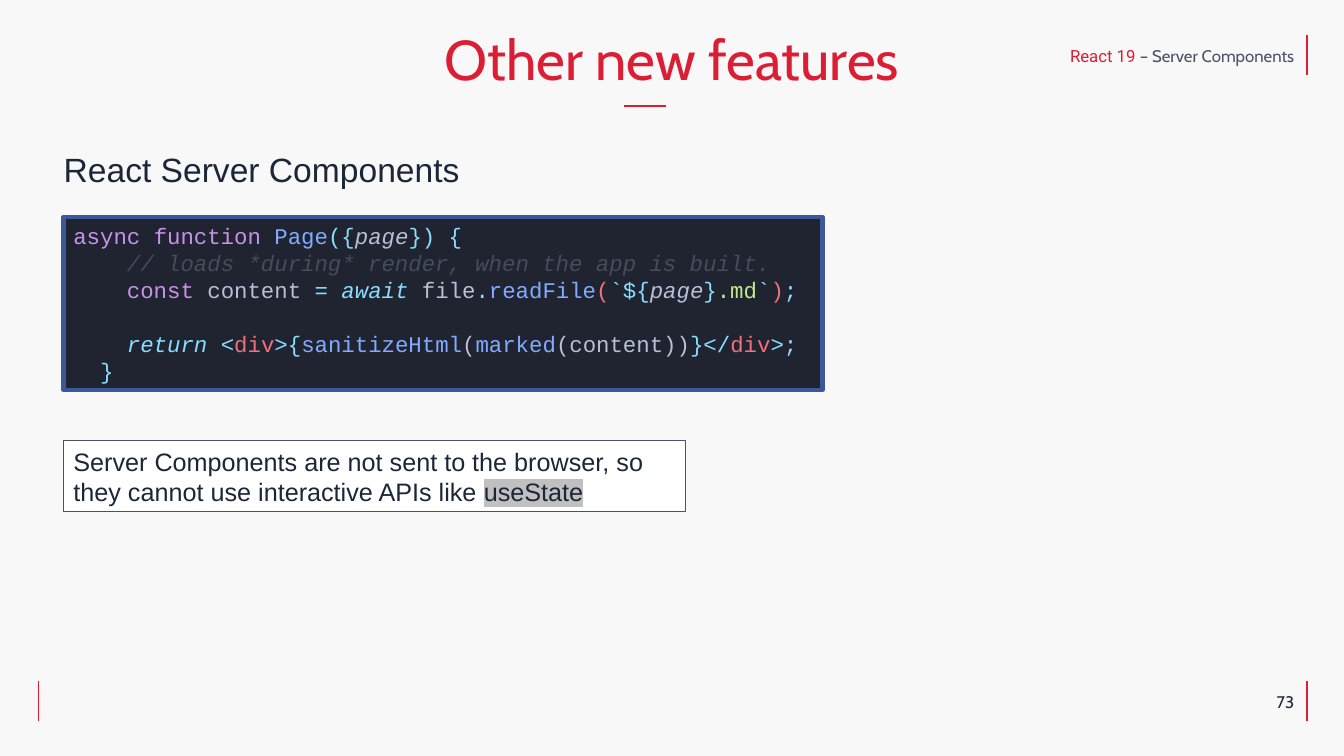
"""Build the slide on React Server Components."""
from lxml.etree import SubElement
from pptx import Presentation
from pptx.dml.color import RGBColor
from pptx.enum.shapes import MSO_CONNECTOR, MSO_SHAPE
from pptx.enum.text import MSO_ANCHOR, MSO_AUTO_SIZE, PP_ALIGN
from pptx.oxml.ns import qn
from pptx.util import Cm, Pt

RED, NAVY, SLATE = "DC1E35", "1B2738", "4A5267"
PURPLE, BLUE, CYAN, GREY = "C792EA", "82AAFF", "89DDFF", "BABED8"
CORAL, GREEN, COMMENT = "F07178", "C3E88D", "464B5D"


def paint(target, color):
    if hasattr(target, "solid"):
        target.solid()
        target = target.fore_color
    target.rgb = RGBColor.from_string(color)


def write(shape, lines, size=12, font="Arial", color=NAVY, align=PP_ALIGN.LEFT,
          anchor=MSO_ANCHOR.TOP, wrap=False, spacing=1.0):
    frame = shape.text_frame
    frame.auto_size = MSO_AUTO_SIZE.NONE
    frame.word_wrap = wrap
    frame.vertical_anchor = anchor
    for index, line in enumerate(lines):
        paragraph = frame.add_paragraph() if index else frame.paragraphs[0]
        paragraph.alignment = align
        paragraph.space_before = Pt(0)
        paragraph.line_spacing = spacing
        for text, *style in line:
            look = style[0] if style else {}
            run = paragraph.add_run()
            run.text = text
            run.font.size = Pt(size)
            run.font.name = look.get("font", font)
            run.font.italic = look.get("italic", False)
            paint(run.font.fill, look.get("color", color))


presentation = Presentation()
presentation.slide_width, presentation.slide_height = Cm(33.87), Cm(19.05)
slide = presentation.slides.add_slide(presentation.slide_layouts[1])
paint(slide.background.fill, "F8F8F8")

title, heading = slide.placeholders
title.left, title.top, title.width, title.height = Cm(10.31), Cm(0.48), Cm(13.23), Cm(3.68)
write(title, [[("Other new features",)]], size=40, font="Cabin", color=RED,
      align=PP_ALIGN.CENTER)

heading.left, heading.top, heading.width, heading.height = Cm(1.35), Cm(3.63), Cm(10.59), Cm(1.27)
heading_properties = heading.text_frame.paragraphs[0]._p.get_or_add_pPr()
heading_properties.set("marL", "0")
heading_properties.set("indent", "0")
SubElement(heading_properties, qn("a:buNone"))
write(heading, [[("React Server Components",)]], size=24)

page_number = slide.shapes.add_textbox(Cm(31.9), Cm(17.3), Cm(0.97), Cm(0.76))
write(page_number, [[("73",)]], font="Cabin", align=PP_ALIGN.RIGHT)

breadcrumb = slide.shapes.add_textbox(Cm(26.34), Cm(1.02), Cm(6.53), Cm(0.76))
write(breadcrumb, [[("React 19 ", {"font": "Roboto", "color": RED}),
                    ("– Server Components",)]],
      font="Cabin", color=SLATE, align=PP_ALIGN.RIGHT)

rules = [
    (32.94, 0.89, 32.94, 1.9, 1),
    (32.94, 17.15, 32.94, 18.16, 1),
    (0.97, 17.15, 0.97, 18.16, 1),
    (15.72, 2.67, 16.79, 2.67, 1.75),
]
for left, top, right, bottom, weight in rules:
    rule = slide.shapes.add_connector(MSO_CONNECTOR.STRAIGHT, Cm(left), Cm(top),
                                      Cm(right), Cm(bottom))
    paint(rule.line.fill, RED)
    rule.line.width = Pt(weight)
    SubElement(rule._element.spPr, qn("a:effectLst"))

purple, blue, cyan, grey, coral, green = (
    {"color": color} for color in (PURPLE, BLUE, CYAN, GREY, CORAL, GREEN))
keyword = {"color": CYAN, "italic": True}
parameter = {"color": GREY, "italic": True}
comment = {"color": COMMENT, "italic": True}
code_lines = [
    [("async function ", purple), ("Page", blue), ("({", cyan), ("page", parameter),
     ("}) {", cyan)],
    [("    ",), ("// loads *during* render, when the app is built.", comment)],
    [("    ",), ("const ", purple), ("content ", grey), ("= ", cyan), ("await ", keyword),
     ("file", grey), (".", cyan), ("readFile", blue), ("(", coral), ("`${", cyan),
     ("page", parameter), ("}", cyan), (".md", green), ("`", cyan), (")", coral),
     (";", cyan)],
    [("    ",)],
    [("    ",), ("return ", keyword), ("<", cyan), ("div", coral), (">{", cyan),
     ("sanitizeHtml", blue), ("(", grey), ("marked", blue), ("(content))", grey),
     ("}</", cyan), ("div", coral), (">;", cyan)],
    [("  ",), ("}", cyan)],
]
note_lines = [[
    ("Server Components are not sent to the browser, so they cannot use "
     "interactive APIs like ",),
    ("useState",),
]]

panels = [
    (5.46, 19.13, 4.37, "1F2430", "3B5998", 3, code_lines,
     {"size": 16, "font": "Courier New", "color": CORAL, "spacing": Pt(19.3)}),
    (11.1, 15.67, 1.8, "FFFFFF", SLATE, 0.75, note_lines, {"size": 18}),
]
for top, width, height, fill, outline, weight, lines, text_format in panels:
    panel = slide.shapes.add_shape(MSO_SHAPE.RECTANGLE, Cm(1.6), Cm(top), Cm(width), Cm(height))
    panel.shadow.inherit = False
    paint(panel.fill, fill)
    paint(panel.line.fill, outline)
    panel.line.width = Pt(weight)
    write(panel, lines, anchor=MSO_ANCHOR.MIDDLE, wrap=True, **text_format)

hook_properties = panel.text_frame.paragraphs[0].runs[-1]._r.get_or_add_rPr()
highlight = SubElement(hook_properties, qn("a:highlight"))
SubElement(highlight, qn("a:srgbClr")).set("val", "C0C0C0")
hook_properties.find(qn("a:solidFill")).addnext(highlight)

presentation.save("out.pptx")
